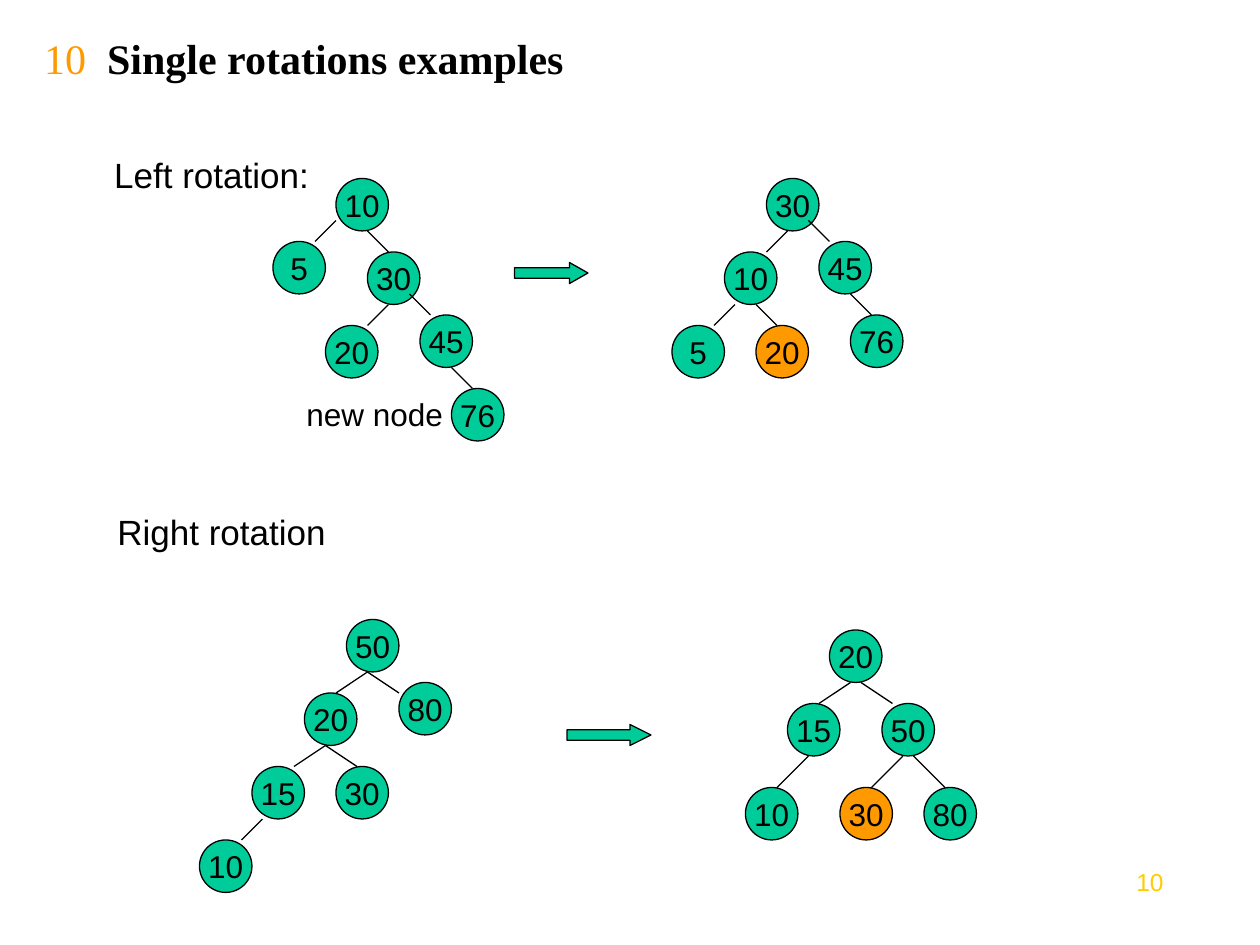
"""Build the slide with single rotation examples of search trees."""
import lxml.etree
import pptx
import pptx.dml.color
import pptx.enum.shapes
import pptx.enum.text
import pptx.oxml.ns
import pptx.util

Inches = pptx.util.Inches
RGBColor = pptx.dml.color.RGBColor
MSO_SHAPE = pptx.enum.shapes.MSO_SHAPE
PP_ALIGN = pptx.enum.text.PP_ALIGN
MSO_ANCHOR = pptx.enum.text.MSO_ANCHOR
qn = pptx.oxml.ns.qn

BLACK = RGBColor(0x00, 0x00, 0x00)
GREEN = RGBColor(0x00, 0xCC, 0x99)
ORANGE = RGBColor(0xFF, 0x99, 0x00)
YELLOW = RGBColor(0xFF, 0xCC, 0x00)

NODE_SIZE = 5


def grid(steps):
    """Turn grid steps of a twelfth of an inch into a length."""
    return Inches(steps / 12)


def add_span(para, text, size=18, font="Arial", color=BLACK, bold=False):
    """Append formatted text to a paragraph."""
    span = para.add_run()
    span.text = text
    span.font.size = pptx.util.Pt(size)
    span.font.name = font
    span.font.color.rgb = color
    span.font.bold = bold


class TreePage:
    """Hold the slide and the shared line and fill style."""

    def __init__(self, deck):
        """Add a title-only slide to the deck."""
        self.page = deck.slides.add_slide(deck.slide_layouts[5])
        self.line_width = pptx.util.Pt(0.74)

    def title(self, number, text):
        """Fill the title with a coloured number and a bold heading."""
        box = self.page.shapes.title
        box.left, box.top, box.width, box.height = grid(3), grid(3), grid(102), grid(5)
        frame = box.text_frame
        frame.auto_size = pptx.enum.text.MSO_AUTO_SIZE.NONE
        frame.vertical_anchor = MSO_ANCHOR.MIDDLE
        para = frame.paragraphs[0]
        para.alignment = PP_ALIGN.LEFT
        tabs = lxml.etree.SubElement(para._p.get_or_add_pPr(), qn("a:tabLst"))
        lxml.etree.SubElement(tabs, qn("a:tab"), pos=str(Inches(0.5)), algn="l")
        add_span(para, number + "\t", size=24, font="Times New Roman", color=ORANGE)
        add_span(para, text, size=24, font="Times New Roman", bold=True)

    def label(self, text, left, top, width, height, shapes=None,
              align=PP_ALIGN.LEFT, inset=0.1, **style):
        """Add a wrapping text box, on the page or in a group."""
        box = (shapes or self.page.shapes).add_textbox(
            grid(left), grid(top), grid(width), Inches(height))
        box.text_frame.word_wrap = True
        box.text_frame.margin_left = Inches(inset)
        para = box.text_frame.paragraphs[0]
        para.alignment = align
        add_span(para, text, **style)

    def shape(self, shapes, kind, left, top, width, height, fill=GREEN):
        """Add an outlined preset shape and return it."""
        shape = shapes.add_shape(kind, grid(left), grid(top), grid(width), grid(height))
        shape.shadow.inherit = False
        shape.fill.solid()
        shape.fill.fore_color.rgb = fill
        shape.line.color.rgb = BLACK
        shape.line.width = self.line_width
        return shape

    def arrow(self, left, top, width, head):
        """Add a block arrow between two trees."""
        arrow = self.shape(self.page.shapes, MSO_SHAPE.RIGHT_ARROW, left, top, width, 2)
        arrow.adjustments[0] = 0.5
        arrow.adjustments[1] = head

    def node(self, shapes, text, left, top, fill):
        """Add a round tree node with its key."""
        circle = self.shape(shapes, MSO_SHAPE.OVAL, left, top, NODE_SIZE, NODE_SIZE, fill)
        frame = circle.text_frame
        frame.word_wrap = False
        frame.vertical_anchor = MSO_ANCHOR.MIDDLE
        para = frame.paragraphs[0]
        para.alignment = PP_ALIGN.CENTER
        add_span(para, text)

    def edge(self, shapes, *ends):
        """Add a straight line between two grid points."""
        edge = shapes.add_connector(
            pptx.enum.shapes.MSO_CONNECTOR.STRAIGHT, *map(grid, ends))
        edge.line.color.rgb = BLACK
        edge.line.width = self.line_width
        lxml.etree.SubElement(edge._element.spPr, qn("a:effectLst"))

    def tree(self, nodes, edges, moved=None):
        """Add a grouped tree, with the moved key highlighted."""
        shapes = self.page.shapes.add_group_shape().shapes
        for key, left, top in nodes:
            self.node(shapes, str(key), left, top, ORANGE if key == moved else GREEN)
        for ends in edges:
            self.edge(shapes, *ends)
        return shapes


LEFT_BEFORE = {
    "nodes": [(10, 32, 17), (5, 26, 23), (30, 35, 24), (20, 31, 31), (45, 40, 30), (76, 43, 37)],
    "edges": [(32, 21, 30, 23), (35, 22, 37, 24), (37, 29, 35, 31),
              (43, 35, 45, 37), (39, 28, 41, 30)],
}
LEFT_AFTER = {
    "nodes": [(30, 73, 17), (10, 69, 24), (45, 78, 23), (76, 81, 30), (5, 64, 31), (20, 72, 31)],
    "edges": [(75, 22, 73, 24), (81, 28, 83, 30), (77, 21, 79, 23),
              (70, 29, 68, 31), (72, 29, 74, 31)],
    "moved": 20,
}
RIGHT_BEFORE = {
    "nodes": [(50, 33, 59), (20, 29, 66), (30, 32, 73), (80, 38, 65), (10, 19, 80), (15, 24, 73)],
    "edges": [(35, 64, 32, 66), (35, 64, 38, 66), (31, 71, 28, 73),
              (31, 71, 34, 73), (25, 78, 23, 80)],
}
RIGHT_AFTER = {
    "nodes": [(20, 79, 60), (15, 75, 67), (50, 84, 67), (80, 88, 75), (30, 80, 75), (10, 71, 75)],
    "edges": [(81, 65, 78, 67), (77, 72, 74, 75), (82, 65, 85, 67),
              (87, 72, 90, 75), (86, 72, 83, 75)],
    "moved": 30,
}


def main():
    """Build and save the deck."""
    deck = pptx.Presentation()
    deck.slide_width, deck.slide_height = Inches(10), Inches(7.5)
    page = TreePage(deck)
    page.label("10", 104, 82, 8, 0.52, align=PP_ALIGN.RIGHT, size=14, color=YELLOW)
    page.title("10", "Single rotations examples")
    page.arrow(49, 25, 7, head=0.88)
    first_tree = page.tree(**LEFT_BEFORE)
    page.label("new node", 28, 37, 16, 0.4, shapes=first_tree)
    page.label("Left rotation:", 8, 14, 48, 0.44, inset=0.24, size=20)
    page.label("Right rotation", 10, 48, 23, 0.44, size=20)
    page.tree(**LEFT_AFTER)
    page.arrow(54, 69, 8, head=1)
    page.tree(**RIGHT_BEFORE)
    page.tree(**RIGHT_AFTER)
    deck.save("out.pptx")


main()
